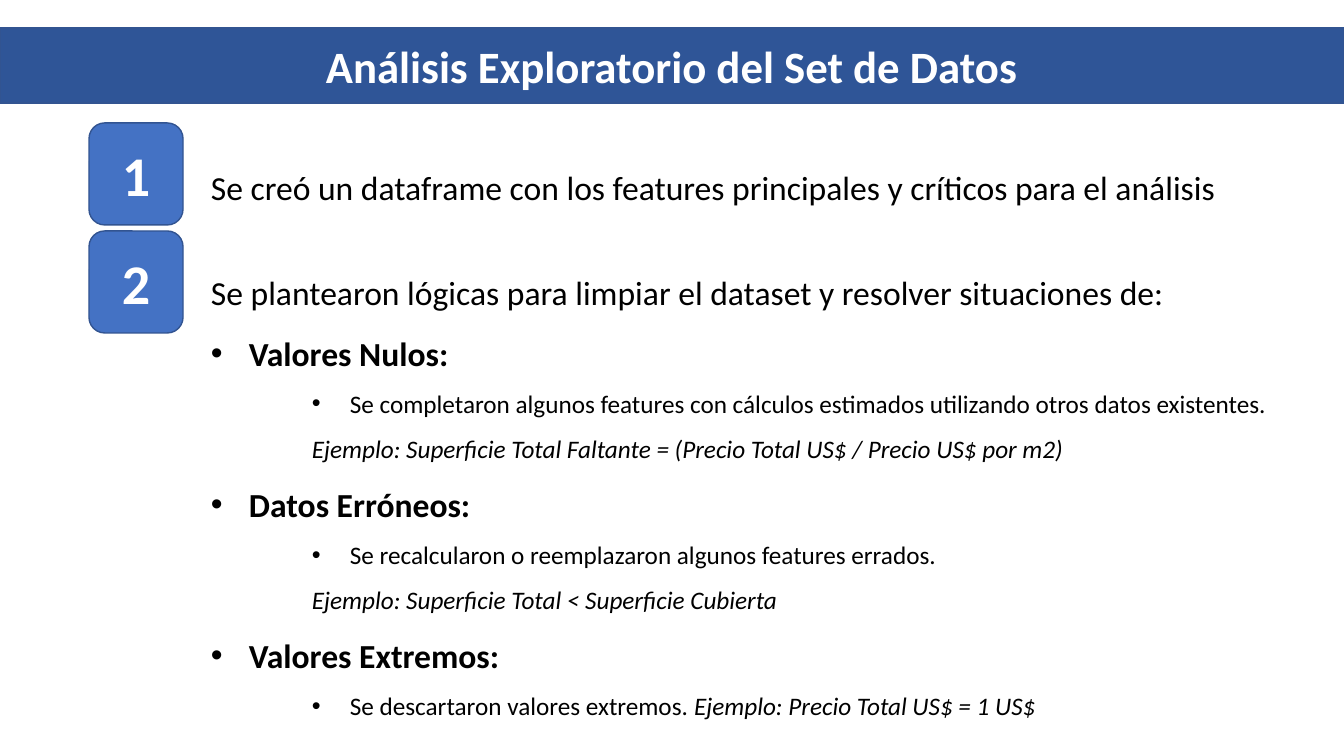
from lxml.etree import SubElement
from pptx import Presentation
from pptx.dml.color import RGBColor
from pptx.enum.shapes import MSO_SHAPE as Shape
from pptx.enum.text import MSO_ANCHOR as Anchor, MSO_AUTO_SIZE as AutoSize, PP_ALIGN as Align
from pptx.oxml.ns import qn
from pptx.util import Pt

EMU_PER_PX = 914400 / 100.8
COLORS = {"bar": "2F5597", "badge": "4472C4", "outline": "325491", "light": "FFFFFF", "ink": "000000"}


def px(length):
    return round(length * EMU_PER_PX)


class SlideWriter:
    font = "Calibri"
    spacing = 1.5

    def __init__(self, slide):
        self.slide = slide

    def color(self, name):
        return RGBColor.from_string(COLORS[name])

    def run(self, paragraph, text, size, color="ink", bold=False, italic=False):
        run = paragraph.add_run()
        run.text = text
        run.font.name = self.font
        run.font.size = Pt(size)
        run.font.bold = bold
        run.font.italic = italic
        run.font.color.rgb = self.color(color)

    def panel(self, shape, fill, text, size):
        shape.fill.solid()
        shape.fill.fore_color.rgb = self.color(fill)
        shape.line.color.rgb = self.color("outline")
        shape.line.width = Pt(1)
        frame = shape.text_frame
        frame.auto_size = AutoSize.NONE
        frame.vertical_anchor = Anchor.MIDDLE
        heading = frame.paragraphs[0]
        heading.alignment = Align.CENTER
        self.run(heading, text, size, "light", bold=True)

    def title(self, text, left, top, width, height):
        title = self.slide.shapes.title
        title.left, title.top, title.width, title.height = map(px, (left, top, width, height))
        self.panel(title, "bar", text, 32)

    def badge(self, text, left, top, width, height):
        badge = self.slide.shapes.add_shape(Shape.ROUNDED_RECTANGLE, *map(px, (left, top, width, height)))
        badge.shadow.inherit = False
        self.panel(badge, "badge", text, 40)

    def textbox(self, left, top, width, height):
        box = self.slide.shapes.add_textbox(*map(px, (left, top, width, height)))
        frame = box.text_frame
        frame.word_wrap = True
        frame.auto_size = AutoSize.SHAPE_TO_FIT_TEXT
        return frame

    def line(self, paragraph, text, size=24, bold=False, italic=False):
        paragraph.line_spacing = self.spacing
        self.run(paragraph, text, size, bold=bold, italic=italic)

    def indent(self, paragraph, level, margin, hanging=0):
        paragraph.level = level
        properties = paragraph._p.get_or_add_pPr()
        properties.set("marL", str(px(margin)))
        properties.set("indent", str(-px(hanging)))
        if hanging:
            SubElement(properties, qn("a:buFont")).set("typeface", "Arial")
            SubElement(properties, qn("a:buChar")).set("char", "•")

    def issue(self, frame, name, action, example, inline):
        heading = frame.add_paragraph()
        self.line(heading, name, bold=True)
        self.indent(heading, 0, 38, 38)
        detail = frame.add_paragraph()
        self.line(detail, action, 18)
        self.indent(detail, 2, 139, 38)
        if inline:
            self.run(detail, example, 18, italic=True)
        else:
            sample = frame.add_paragraph()
            self.line(sample, example, 18, italic=True)
            self.indent(sample, 2, 101)


STEPS = [
    ("Se creó un dataframe con los features principales y críticos para el análisis", 142, 65),
    ("Se plantearon lógicas para limpiar el dataset y resolver situaciones de:", 247, 553),
]
ISSUES = [
    ("Valores Nulos:",
     "Se completaron algunos features con cálculos estimados utilizando otros datos existentes.",
     "Ejemplo: Superficie Total Faltante = (Precio Total US$ / Precio US$ por m2)", False),
    ("Datos Erróneos:",
     "Se recalcularon o reemplazaron algunos features errados.",
     "Ejemplo: Superficie Total < Superficie Cubierta", False),
    ("Valores Extremos:",
     "Se descartaron valores extremos. ",
     "Ejemplo: Precio Total US$ = 1 US$", True),
]


def main():
    deck = Presentation()
    deck.slide_width, deck.slide_height = px(1344), px(756)
    writer = SlideWriter(deck.slides.add_slide(deck.slide_layouts[5]))
    writer.title("Análisis Exploratorio del Set de Datos", 0, 28, 1344, 75)
    for index, (statement, top, height) in enumerate(STEPS):
        writer.badge(str(index + 1), 89, 123 + 108 * index, 94, 102)
        explanation = writer.textbox(201, top, 1143, height)
        writer.line(explanation.paragraphs[0], statement)
    for issue in ISSUES:
        writer.issue(explanation, *issue)
    deck.save("out.pptx")


if __name__ == "__main__":
    main()
